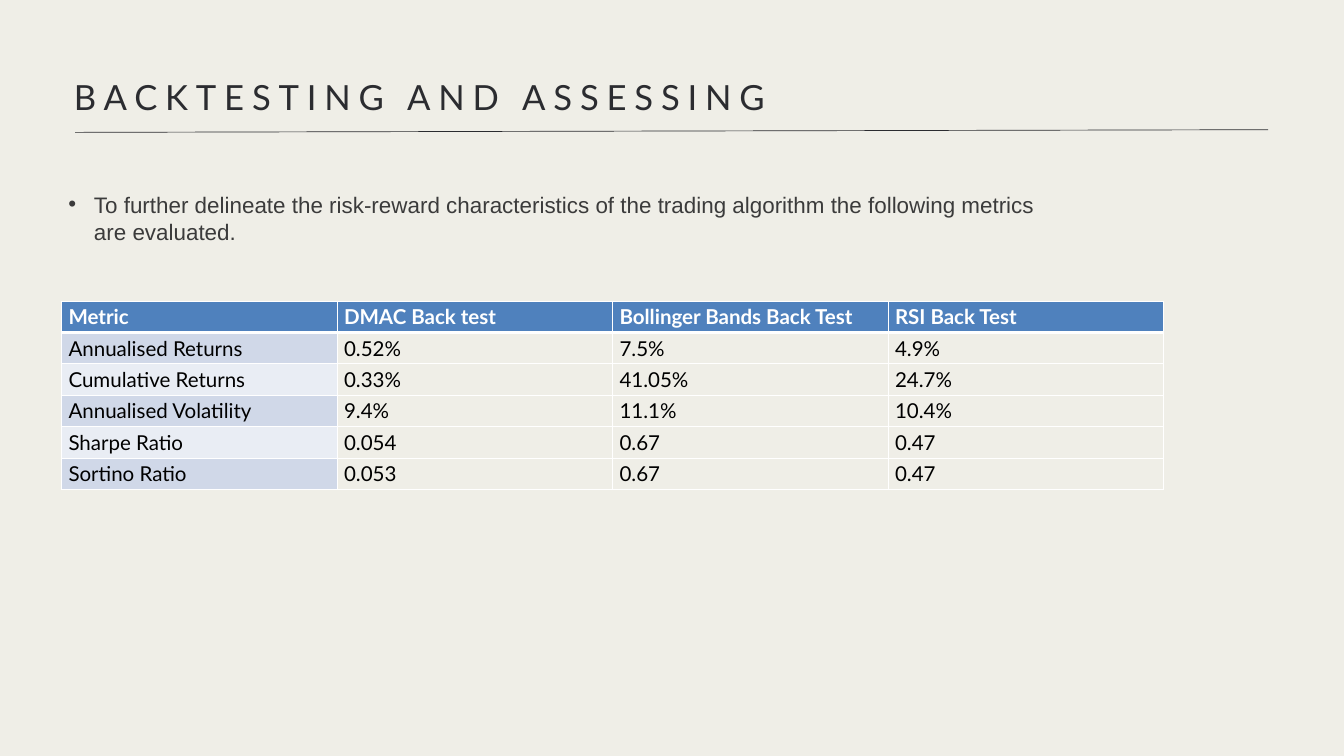
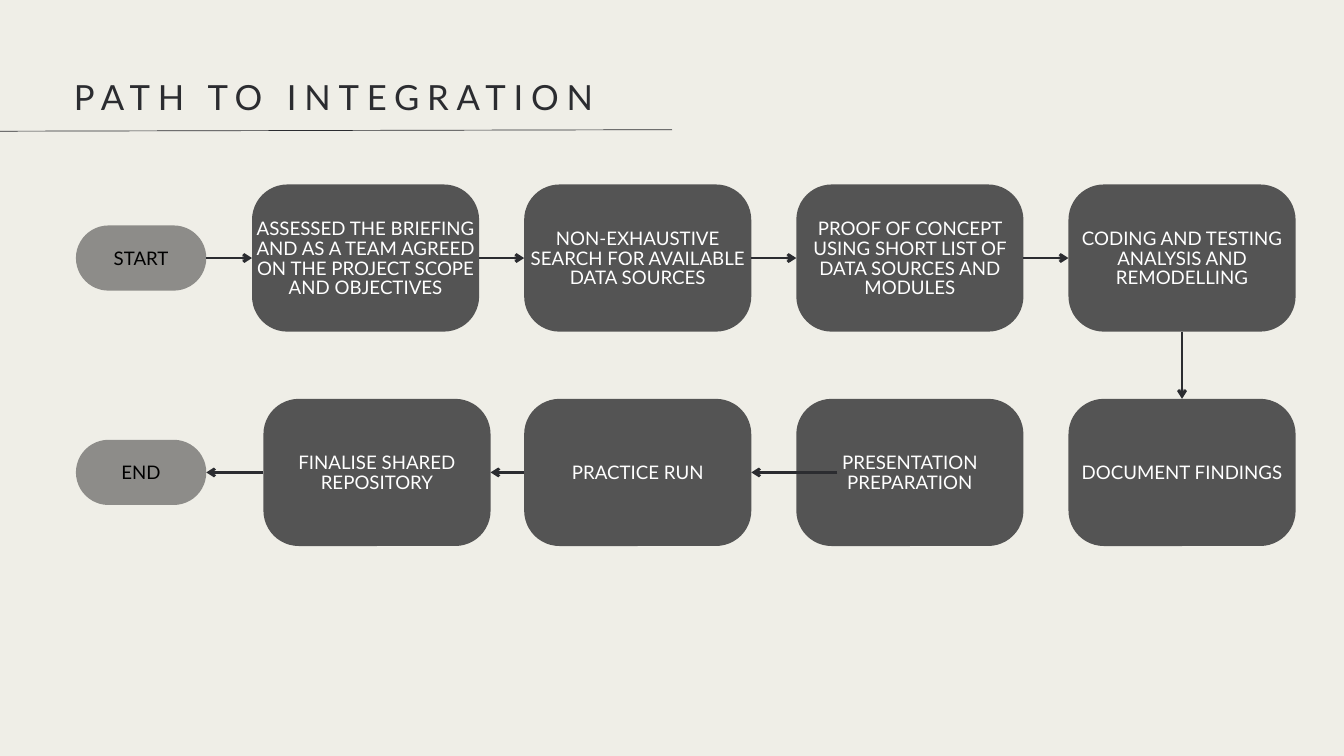
import pptx
import pptx.util
import pptx.dml.color
import pptx.enum.shapes
import pptx.enum.text
import pptx.oxml.ns
from lxml import etree

Inches = pptx.util.Inches
Pt = pptx.util.Pt
qn = pptx.oxml.ns.qn
SHAPES = pptx.enum.shapes.MSO_SHAPE
TOP, LEFT, BOTTOM, RIGHT = range(4)

COLOURS = {
    "background": "EFEEE7", "ink": "2B2C30", "body": "3B3B3B",
    "step": "545454", "terminal": "8D8C89", "header": "4F81BD",
    "band_dark": "D0D8E8", "band_light": "E9EDF4",
    "white": "FFFFFF", "black": "000000",
}
SANS = "Lato"

BACKTEST_TITLE = "BACKTESTING AND ASSESSING"
BACKTEST_INTRO = ("To further delineate the risk-reward characteristics of the trading "
                  "algorithm the following metrics are evaluated.")
METRICS = [
    ("Metric", "DMAC Back test", "Bollinger Bands Back Test", "RSI Back Test"),
    ("Annualised Returns", "0.52%", "7.5%", "4.9%"),
    ("Cumulative Returns", "0.33%", "41.05%", "24.7%"),
    ("Annualised Volatility", "9.4%", "11.1%", "10.4%"),
    ("Sharpe Ratio", "0.054", "0.67", "0.47"),
    ("Sortino Ratio", "0.053", "0.67", "0.47"),
]

PATH_TITLE = "PATH TO INTEGRATION"
UPPER_STEPS = [
    "ASSESSED THE BRIEFING AND AS A TEAM AGREED ON THE PROJECT SCOPE AND OBJECTIVES",
    "NON-EXHAUSTIVE SEARCH FOR AVAILABLE DATA SOURCES",
    "PROOF OF CONCEPT USING SHORT LIST OF DATA SOURCES AND MODULES",
    "CODING AND TESTING\nANALYSIS AND REMODELLING",
]
LOWER_STEPS = ["FINALISE SHARED REPOSITORY", "PRACTICE RUN",
               "PRESENTATION PREPARATION", "DOCUMENT FINDINGS"]

STEP_SIZE = (3.38, 2.19)
STEP_LEFTS = [3.75 + 4.05 * column for column in range(4)]
LOWER_LEFTS = [3.92] + STEP_LEFTS[1:]
TERMINAL_SIZE = (1.94, 0.97)
TERMINAL_LEFT = 1.13
UPPER_MIDDLE, LOWER_MIDDLE = 3.84, 7.03


def colour(name):
    return pptx.dml.color.RGBColor.from_string(COLOURS[name])


def style_paragraph(paragraph, size, font, ink, bold=False, tracking=None, leading=None):
    if leading:
        paragraph.line_spacing = Pt(leading)
    for run in paragraph.runs:
        run.font.size = Pt(size)
        run.font.name = font
        run.font.bold = bold
        run.font.color.rgb = colour(ink)
        if tracking:
            run._r.get_or_add_rPr().set("spc", str(round(tracking * 100)))


def add_text(slide, box, text, margin=None, grow=True):
    frame = slide.shapes.add_textbox(*map(Inches, box)).text_frame
    frame.word_wrap = True
    if grow:
        frame.auto_size = pptx.enum.text.MSO_AUTO_SIZE.SHAPE_TO_FIT_TEXT
    if margin is not None:
        frame.margin_left = frame.margin_right = Inches(margin)
        frame.margin_top = frame.margin_bottom = Inches(margin)
    frame.text = text
    return frame


def add_line(slide, start, end, width):
    line = slide.shapes.add_connector(pptx.enum.shapes.MSO_CONNECTOR.STRAIGHT,
                                      *map(Inches, start + end))
    line.line.color.rgb = colour("ink")
    line.line.width = Pt(width)
    etree.SubElement(line._element.spPr, qn("a:effectLst"))
    return line


def add_base_slide(presentation, title, rule_left):
    """Add a slide with the shared background, title and title rule."""
    slide = presentation.slides.add_slide(presentation.slide_layouts[6])
    slide.background.fill.solid()
    slide.background.fill.fore_color.rgb = colour("background")
    add_line(slide, (rule_left, 1.97), (rule_left + 17.75, 1.93), 0.75)
    heading = add_text(slide, (1.1, 1.03, 17.75, 0.67), title, margin=0)
    style_paragraph(heading.paragraphs[0], 37.1, SANS, "ink", tracking=8.4, leading=52)
    return slide


def add_bullet(paragraph, indent):
    properties = paragraph._p.get_or_add_pPr()
    properties.set("marL", str(Inches(indent)))
    properties.set("indent", str(-Inches(indent)))
    etree.SubElement(properties, qn("a:buFont"), typeface="Arial")
    etree.SubElement(properties, qn("a:buChar"), char="•")


def add_cell_borders(cell, bottom_width):
    properties = cell._tc.get_or_add_tcPr()
    for side, width in (("L", 1), ("R", 1), ("T", 1), ("B", bottom_width)):
        border = etree.SubElement(properties, qn(f"a:ln{side}"), w=str(Pt(width)))
        fill = etree.SubElement(border, qn("a:solidFill"))
        etree.SubElement(fill, qn("a:srgbClr"), val=COLOURS["white"])


def add_metrics_table(slide):
    rows, columns = len(METRICS), len(METRICS[0])
    table = slide.shapes.add_table(rows, columns, Inches(0.92), Inches(4.48),
                                   Inches(16.4), Inches(2.8)).table
    table.horz_banding = False
    for row, values in enumerate(METRICS):
        is_header = row == 0
        for column, value in enumerate(values):
            cell = table.cell(row, column)
            cell.text_frame.text = value
            style_paragraph(cell.text_frame.paragraphs[0], 22, SANS,
                            "white" if is_header else "black", bold=is_header)
            add_cell_borders(cell, 3 if is_header else 1)
            if is_header or column == 0:
                band = "band_dark" if row % 2 else "band_light"
                cell.fill.solid()
                cell.fill.fore_color.rgb = colour("header" if is_header else band)
            else:
                cell.fill.background()


def add_node(slide, text, left, middle, size, fill, ink, rounding):
    """Add a rounded box centred on a row, with its label over its full width."""
    width, height = size
    top = middle - height / 2
    node = slide.shapes.add_shape(SHAPES.ROUNDED_RECTANGLE,
                                  *map(Inches, (left, top, width, height)))
    node.adjustments[0] = rounding
    node.shadow.inherit = False
    node.fill.solid()
    node.fill.fore_color.rgb = colour(fill)
    node.line.fill.background()
    label = add_text(slide, (left, top + 0.03, width, height - 0.03), text,
                     margin=0.06, grow=False)
    label.vertical_anchor = pptx.enum.text.MSO_ANCHOR.MIDDLE
    for paragraph in label.paragraphs:
        paragraph.alignment = pptx.enum.text.PP_ALIGN.CENTER
        style_paragraph(paragraph, 20, SANS, ink, leading=21.2)
    return node


def add_arrow(slide, start, end):
    arrow = add_line(slide, start, end, 3)
    etree.SubElement(arrow.get_or_add_ln(), qn("a:tailEnd"), type="arrow")
    return arrow


def join(slide, source, source_side, target, target_side):
    arrow = add_arrow(slide, (0, 0), (1, 1))
    arrow.begin_connect(source, source_side)
    arrow.end_connect(target, target_side)


def build_backtest_slide(presentation):
    slide = add_base_slide(presentation, BACKTEST_TITLE, 1.12)
    intro = add_text(slide, (0.92, 2.79, 14.83, 0.91), BACKTEST_INTRO).paragraphs[0]
    add_bullet(intro, 0.38)
    style_paragraph(intro, 24, "Arial", "body")
    add_metrics_table(slide)


def build_path_slide(presentation):
    slide = add_base_slide(presentation, PATH_TITLE, -7.75)

    def add_row(terminal, steps, lefts, middle):
        nodes = [add_node(slide, terminal, TERMINAL_LEFT, middle, TERMINAL_SIZE,
                          "terminal", "black", 0.5)]
        for text, left in zip(steps, lefts):
            nodes.append(add_node(slide, text, left, middle, STEP_SIZE,
                                  "step", "white", 0.24))
        return nodes

    upper = add_row("START", UPPER_STEPS, STEP_LEFTS, UPPER_MIDDLE)
    lower = add_row("END", LOWER_STEPS, LOWER_LEFTS, LOWER_MIDDLE)
    end, finalise, practice, _, findings = lower

    for source, target in zip(upper, upper[1:]):
        join(slide, source, RIGHT, target, LEFT)
    join(slide, upper[-1], BOTTOM, findings, TOP)
    join(slide, practice, LEFT, finalise, RIGHT)
    join(slide, finalise, LEFT, end, RIGHT)

    departure = add_arrow(slide, (12.46, LOWER_MIDDLE), (11.18, LOWER_MIDDLE))
    departure.end_connect(practice, RIGHT)


def main():
    presentation = pptx.Presentation()
    presentation.slide_width = Inches(20)
    presentation.slide_height = Inches(11.25)
    build_backtest_slide(presentation)
    build_path_slide(presentation)
    presentation.save("out.pptx")


if __name__ == "__main__":
    main()
